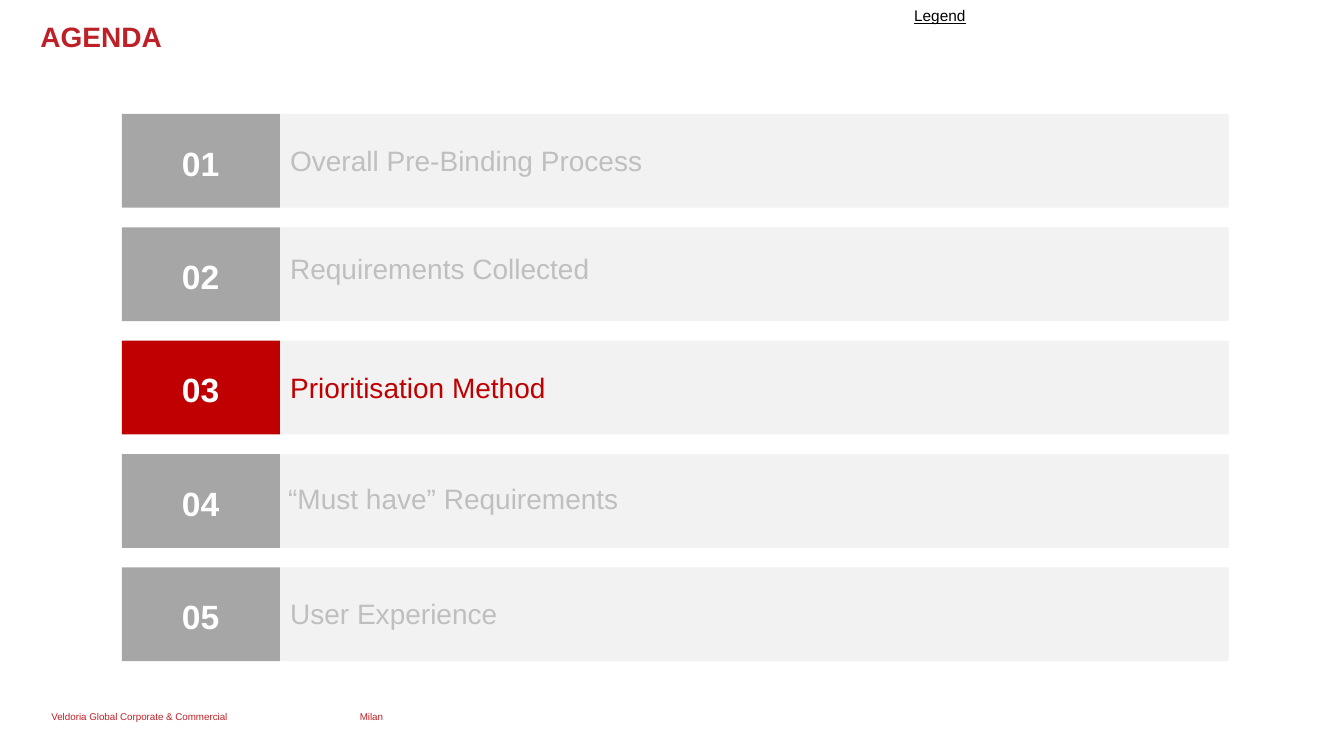
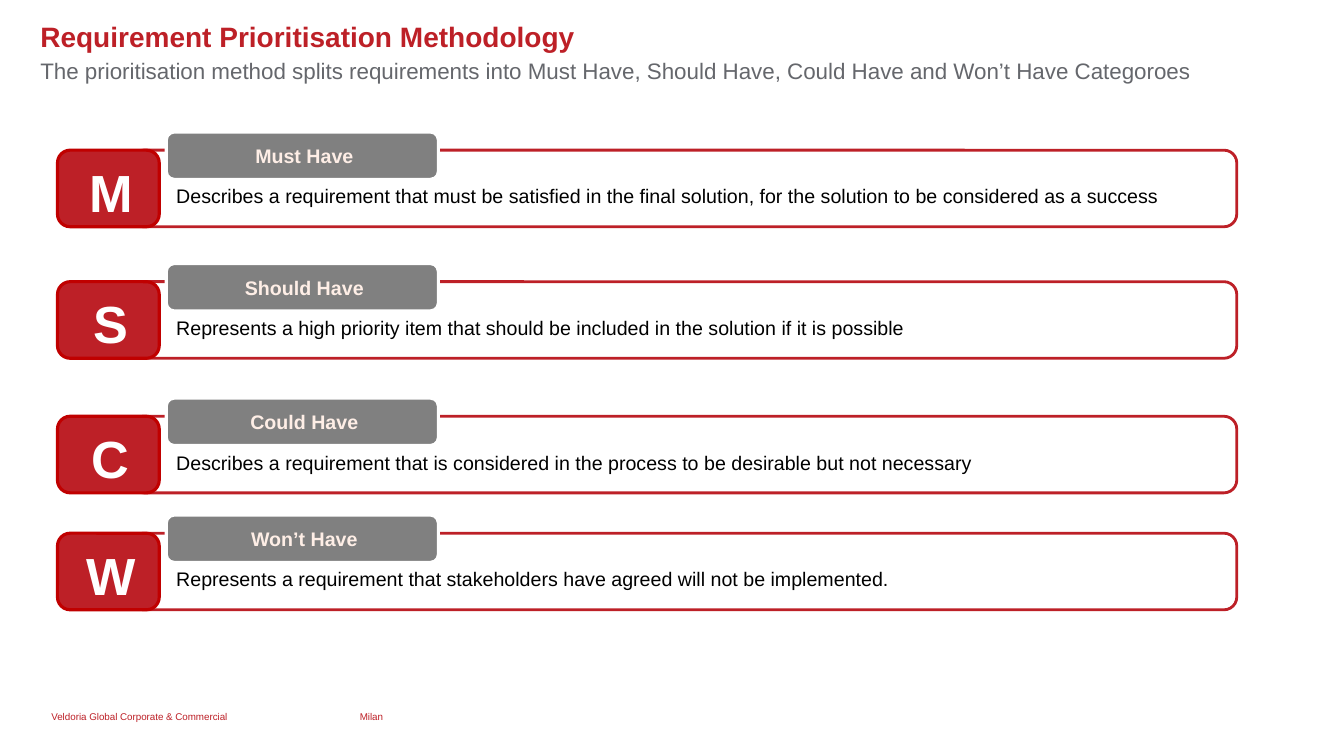
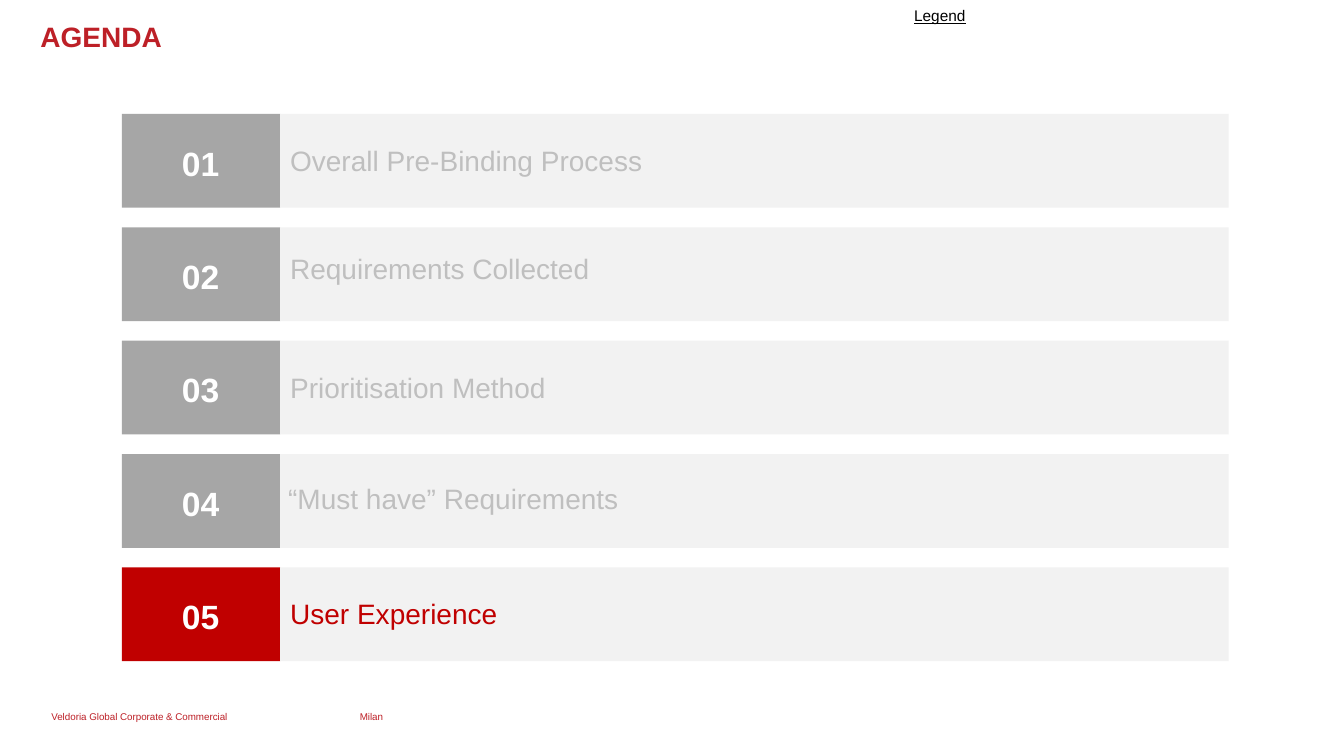
"""Build two agenda slides around a slide on requirement prioritisation."""
import pptx
import pptx.dml.color
import pptx.enum.shapes
import pptx.enum.text
import pptx.util

Pt = pptx.util.Pt
SHAPE = pptx.enum.shapes.MSO_SHAPE
ALIGN = pptx.enum.text.PP_ALIGN
ANCHOR = pptx.enum.text.MSO_ANCHOR

FONT = "Arial"
COLOURS = {
    "brand": "BD2027", "active": "C00000", "idle": "A6A6A6", "bar": "F2F2F2",
    "idle text": "BFBFBF", "subtitle": "65676C", "tag": "808080",
    "tag text": "FEEEE6", "white": "FFFFFF", "black": "000000",
}
FOOTERS = [("Veldoria Global Corporate & Commercial", 36.72, 207.36), ("Milan", 257.04, 118.08)]

AGENDA = [
    ("Overall Pre-Binding Process", 0, 0),
    ("Requirements Collected", 0, -3.6),
    ("Prioritisation Method", 0, 0),
    ("“Must have” Requirements", -1.44, -1.44),
    ("User Experience", 0, 0),
]
AGENDA_TOP, AGENDA_PITCH, AGENDA_HEIGHT = 81.36, 81, 67
TILE_LEFT, TILE_WIDTH, BAR_WIDTH = 87.12, 113.04, 677.52

METHOD_TITLE = "Requirement Prioritisation Methodology"
METHOD_SUBTITLE = ("The prioritisation method splits requirements into Must Have, Should Have, "
                   "Could Have and Won’t Have Categoroes")
CATEGORIES = [
    ("M", "Must Have", "Describes a requirement that must be satisfied in the final solution, "
     "for the solution to be considered as a success", 107.28),
    ("S", "Should Have", "Represents a high priority item that should be included in the solution "
     "if it is possible", 201.24),
    ("C", "Could Have", "Describes a requirement that is considered in the process to be desirable "
     "but not necessary", 297.36),
    ("W", "Won’t Have", "Represents a requirement that stakeholders have agreed will not be "
     "implemented.", 380.88),
]
ROW_HEIGHT = 54.72


def colour(name):
    return pptx.dml.color.RGBColor.from_string(COLOURS[name])


def add_run(paragraph, text, size, colour_name, bold=False, underline=None):
    run = paragraph.add_run()
    run.text = text
    font = run.font
    font.name, font.size, font.bold, font.underline = FONT, Pt(size), bold, underline
    font.color.rgb = colour(colour_name)


def set_margins(frame, left, top, right, bottom):
    frame.margin_left, frame.margin_top = Pt(left), Pt(top)
    frame.margin_right, frame.margin_bottom = Pt(right), Pt(bottom)


def add_box(slide, kind, box, fill=None, line=None, line_width=2.25):
    shape = slide.shapes.add_shape(kind, *map(Pt, box))
    shape.shadow.inherit = False
    if fill:
        shape.fill.solid()
        shape.fill.fore_color.rgb = colour(fill)
    else:
        shape.fill.background()
    if line:
        shape.line.color.rgb = colour(line)
        shape.line.width = Pt(line_width)
    else:
        shape.line.fill.background()
    return shape


def add_text(slide, box, text, size, colour_name, bold=False, spacing=None, wrap=True):
    frame = slide.shapes.add_textbox(*map(Pt, box)).text_frame
    frame.word_wrap = wrap
    paragraph = frame.paragraphs[0]
    paragraph.line_spacing = spacing
    add_run(paragraph, text, size, colour_name, bold)
    return frame


def add_slide(presentation, title, subtitle=None):
    slide = presentation.slides.add_slide(presentation.slide_layouts[5])
    shape = slide.shapes.title
    shape.left, shape.top, shape.width, shape.height = map(Pt, (28.8, 15.84, 880.56, 43.92))
    frame = shape.text_frame
    frame.auto_size = pptx.enum.text.MSO_AUTO_SIZE.NONE
    frame.vertical_anchor = ANCHOR.TOP
    set_margins(frame, 0, 0, 0, 0)
    paragraph = frame.paragraphs[0]
    paragraph.alignment = ALIGN.LEFT
    paragraph.line_spacing = Pt(22)
    add_run(paragraph, title, 20, "brand", bold=True)
    if subtitle:
        paragraph.add_line_break()
        add_run(paragraph, subtitle, 16, "subtitle")
    for text, left, width in FOOTERS:
        footer = add_text(slide, (left, 508.32, width, 8.64), text, 7, "brand", spacing=0.96)
        set_margins(footer, 0, 0, 0, 0)
    return slide


def add_agenda(presentation, active):
    slide = add_slide(presentation, "AGENDA")
    legend = add_box(slide, SHAPE.ROUNDED_RECTANGLE, (637.92, 0, 66.96, 22.4))
    legend.adjustments[0] = 0.23
    paragraph = legend.text_frame.paragraphs[0]
    paragraph.alignment = ALIGN.CENTER
    add_run(paragraph, "Legend", 11, "black", underline=True)
    bar_left = TILE_LEFT + TILE_WIDTH
    for index, (label, shift_x, shift_y) in enumerate(AGENDA):
        number = index + 1
        is_active = number == active
        top = AGENDA_TOP + index * AGENDA_PITCH
        text_top = top + 20.16
        add_box(slide, SHAPE.RECTANGLE, (TILE_LEFT, top, TILE_WIDTH, AGENDA_HEIGHT),
                "active" if is_active else "idle")
        add_box(slide, SHAPE.RECTANGLE, (bar_left, top, BAR_WIDTH, AGENDA_HEIGHT), "bar")
        frame = add_text(slide, (122.4, text_top, 41.76, 26.64), f"{number:02}", 24, "white",
                         bold=True, spacing=0.9, wrap=False)
        frame.paragraphs[0].alignment = ALIGN.CENTER
        add_text(slide, (bar_left + shift_x, text_top + shift_y, 587.52, 26.64), label, 20,
                 "active" if is_active else "idle text", spacing=0.9)


def add_caption(shape, text, size, colour_name, margins):
    frame = shape.text_frame
    frame.vertical_anchor = ANCHOR.MIDDLE
    set_margins(frame, *margins)
    paragraph = frame.paragraphs[0]
    paragraph.alignment = ALIGN.CENTER
    add_run(paragraph, text, size, colour_name, bold=True)


def add_method(presentation):
    slide = add_slide(presentation, METHOD_TITLE, METHOD_SUBTITLE)
    rounded = SHAPE.ROUNDED_RECTANGLE
    for letter, name, description, top in CATEGORIES:
        add_box(slide, rounded, (93.6, top, 789.84, ROW_HEIGHT), "white", "brand", 2)
        badge = add_box(slide, rounded, (41.04, top, 72.72, ROW_HEIGHT), "brand", "active")
        add_caption(badge, letter, 37.3, "white", (13, 9, 9.4, 5))
        add_text(slide, (118.8, top + 20.88, 724.32, 24.48), description, 14, "black")
        tag = add_box(slide, rounded, (118.8, top - 12.96, 194.4, 33.84), "tag", "white")
        add_caption(tag, name, 14, "tag text", (10, 3.6, 7.2, 3.6))


def main():
    presentation = pptx.Presentation()
    presentation.slide_width, presentation.slide_height = Pt(960), Pt(540)
    add_agenda(presentation, active=3)
    add_method(presentation)
    add_agenda(presentation, active=5)
    presentation.save("out.pptx")


if __name__ == "__main__":
    main()
